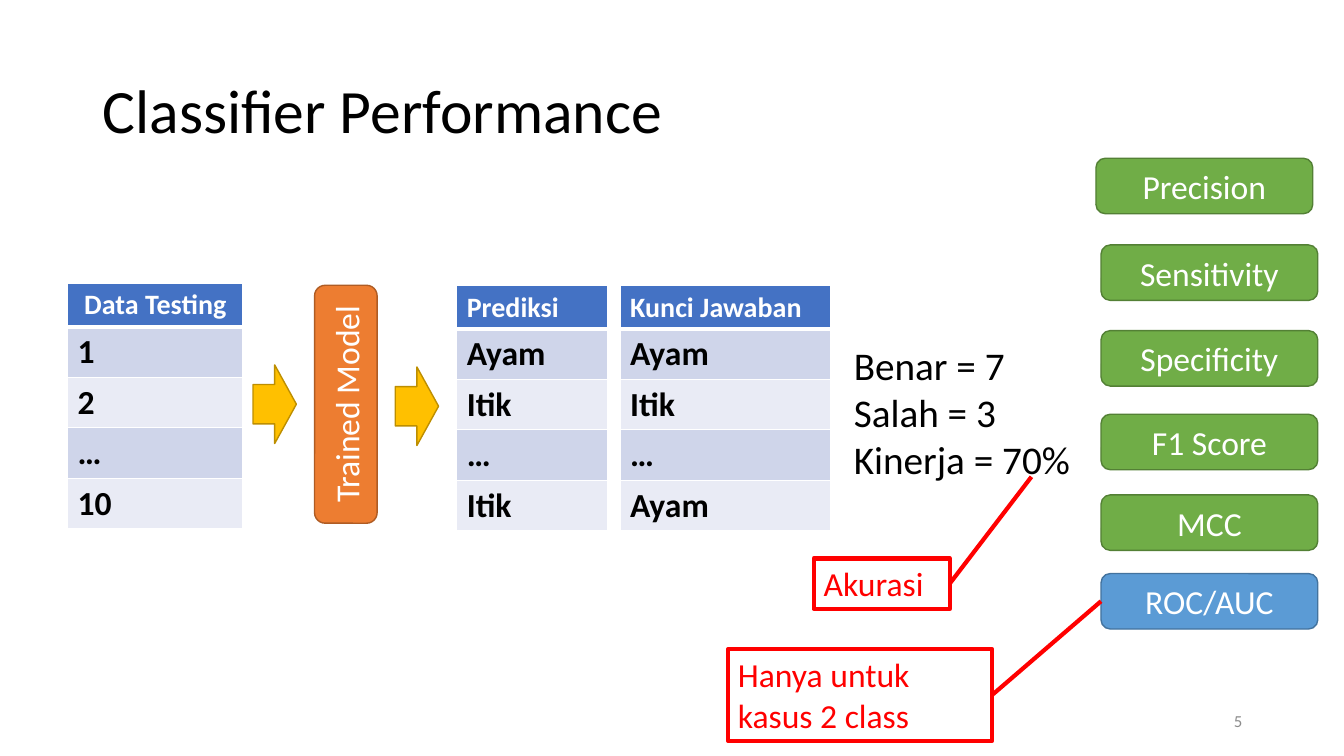
from lxml.etree import SubElement
from pptx import Presentation
from pptx.dml.color import RGBColor
from pptx.enum.shapes import MSO_CONNECTOR, MSO_SHAPE
from pptx.enum.text import MSO_ANCHOR, PP_ALIGN
from pptx.oxml.ns import qn
from pptx.util import Inches, Pt

FONT = "Calibri"
COLORS = {
    "black": "000000", "white": "FFFFFF", "grey": "8C8C8C", "red": "FF0000",
    "header": "4472C4", "band_dark": "CFD5EA", "band_light": "E9EBF5",
    "orange": "ED7D31", "orange_edge": "AF5C24",
    "yellow": "FFC000", "yellow_edge": "BD8E00",
    "green": "70AD47", "green_edge": "538035",
    "blue": "5B9BD5", "blue_edge": "43739E",
}


def rgb(name):
    return RGBColor.from_string(COLORS[name])


def write(frame, text, size, color, align=PP_ALIGN.LEFT, bold=False):
    frame.text = text
    for paragraph in frame.paragraphs:
        paragraph.alignment = align
        for run in paragraph.runs:
            run.font.name = FONT
            run.font.size = Pt(size)
            run.font.bold = bold
            run.font.color.rgb = rgb(color)


def add_label(slide, box, text, size, color="black", align=PP_ALIGN.LEFT,
              anchor=MSO_ANCHOR.TOP, wrap=True):
    label = slide.shapes.add_textbox(*map(Inches, box))
    frame = label.text_frame
    frame.word_wrap = wrap
    frame.vertical_anchor = anchor
    write(frame, text, size, color, align)
    return label


def add_block(slide, kind, box, fill, edge, width=1):
    block = slide.shapes.add_shape(kind, *map(Inches, box))
    block.shadow.inherit = False
    if fill:
        block.fill.solid()
        block.fill.fore_color.rgb = rgb(fill)
    else:
        block.fill.background()
    block.line.color.rgb = rgb(edge)
    block.line.width = Pt(width)
    return block


def add_button(slide, box, text, color):
    button = add_block(slide, MSO_SHAPE.ROUNDED_RECTANGLE, box, color, color + "_edge")
    button.text_frame.word_wrap = True
    button.text_frame.vertical_anchor = MSO_ANCHOR.MIDDLE
    write(button.text_frame, text, 24, "white", PP_ALIGN.CENTER)
    return button


def add_border(cell, side, width):
    properties = cell._tc.get_or_add_tcPr()
    line = SubElement(properties, qn(f"a:{side}"), w=str(Pt(width)))
    SubElement(SubElement(line, qn("a:solidFill")), qn("a:srgbClr"), val=COLORS["white"])


def add_column(slide, left, top, width, entries, header_align=PP_ALIGN.LEFT):
    """One-column table with a header and alternating bands."""
    row_height = 0.41
    table = slide.shapes.add_table(len(entries), 1, Inches(left), Inches(top),
                                   Inches(width), Inches(row_height * len(entries))).table
    for row, entry in enumerate(entries):
        cell = table.cell(row, 0)
        is_header = row == 0
        for side in ("lnL", "lnR", "lnT", "lnB"):
            thick = (is_header and side == "lnB") or (row == 1 and side == "lnT")
            add_border(cell, side, 3 if thick else 1)
        cell.fill.solid()
        if is_header:
            cell.fill.fore_color.rgb = rgb("header")
            write(cell.text_frame, entry, 20, "white", header_align, bold=True)
        else:
            cell.fill.fore_color.rgb = rgb("band_dark" if row % 2 else "band_light")
            write(cell.text_frame, entry, 24, "black", bold=True)


def add_pipeline(slide, left, top):
    """Test data, trained model, predictions and answer key."""
    add_column(slide, left, top, 1.74, ["Data Testing", "1", "2", "…", "10"],
               PP_ALIGN.CENTER)
    model = add_button(slide, (left + 1.58, top + 0.89, 2.36, 0.62),
                       "Trained Model", "orange")
    model.rotation = 270
    for dx, dy in ((1.84, 0.81), (3.25, 0.83)):
        add_block(slide, MSO_SHAPE.RIGHT_ARROW, (left + dx, top + dy, 0.43, 0.78),
                  "yellow", "yellow_edge")
    add_column(slide, left + 3.86, top + 0.02, 1.5,
               ["Prediksi", "Ayam", "Itik", "…", "Itik"])
    add_column(slide, left + 5.48, top + 0.02, 2.09,
               ["Kunci Jawaban", "Ayam", "Itik", "…", "Ayam"])


def add_metrics(slide, left, width, height):
    """Stack of metric buttons; returns them by name."""
    metrics = [("Precision", -0.05, 1.57, "green"), ("Sensitivity", 0, 2.43, "green"),
               ("Specificity", 0, 3.28, "green"), ("F1 Score", 0, 4.11, "green"),
               ("MCC", 0, 4.91, "green"), ("ROC/AUC", 0, 5.69, "blue")]
    return {name: add_button(slide, (left + shift, top, width, height), name, color)
            for name, shift, top, color in metrics}


def add_callout(slide, box, text, start, target=None):
    """Red note whose right side is tied to a start point or a target's left side."""
    note = add_block(slide, MSO_SHAPE.RECTANGLE, box, None, "red", 3)
    note.text_frame.word_wrap = True
    note.text_frame.vertical_anchor = MSO_ANCHOR.TOP
    write(note.text_frame, text, 24, "red")
    left, top, width, height = box
    leader = slide.shapes.add_connector(
        MSO_CONNECTOR.STRAIGHT, *map(Inches, (*start, left + width, top + height / 2)))
    if target is not None:
        leader.begin_connect(target, 1)
    leader.end_connect(note, 3)
    leader.line.color.rgb = rgb("red")
    leader.line.width = Pt(3)
    SubElement(leader._element.spPr, qn("a:effectLst"))


def build_performance_slide(slide):
    # Title and slide number
    title = add_label(slide, (0.92, 0.4, 11.5, 1.45), "Classifier Performance", 44,
                      anchor=MSO_ANCHOR.MIDDLE)
    title.text_frame.paragraphs[0].line_spacing = 0.9
    add_label(slide, (9.42, 6.95, 3, 0.4), "5", 12, "grey", PP_ALIGN.RIGHT,
              MSO_ANCHOR.MIDDLE)

    # Classification flow and its result
    add_pipeline(slide, 0.67, 2.81)
    add_label(slide, (8.37, 3.34, 2.37, 1.51),
              "Benar = 7\nSalah = 3\nKinerja = 70%", 28, wrap=False)

    # Metrics and notes
    metrics = add_metrics(slide, 10.92, 2.15, 0.55)
    add_callout(slide, (8.07, 5.54, 1.35, 0.5), "Akurasi", (10.23, 4.73))
    add_callout(slide, (7.22, 6.44, 2.62, 0.91), "Hanya untuk kasus 2 class",
                (10.92, 5.96), metrics["ROC/AUC"])


def main():
    deck = Presentation()
    deck.slide_width = Inches(13.33)
    deck.slide_height = Inches(7.5)
    build_performance_slide(deck.slides.add_slide(deck.slide_layouts[6]))
    deck.save("out.pptx")


if __name__ == "__main__":
    main()
